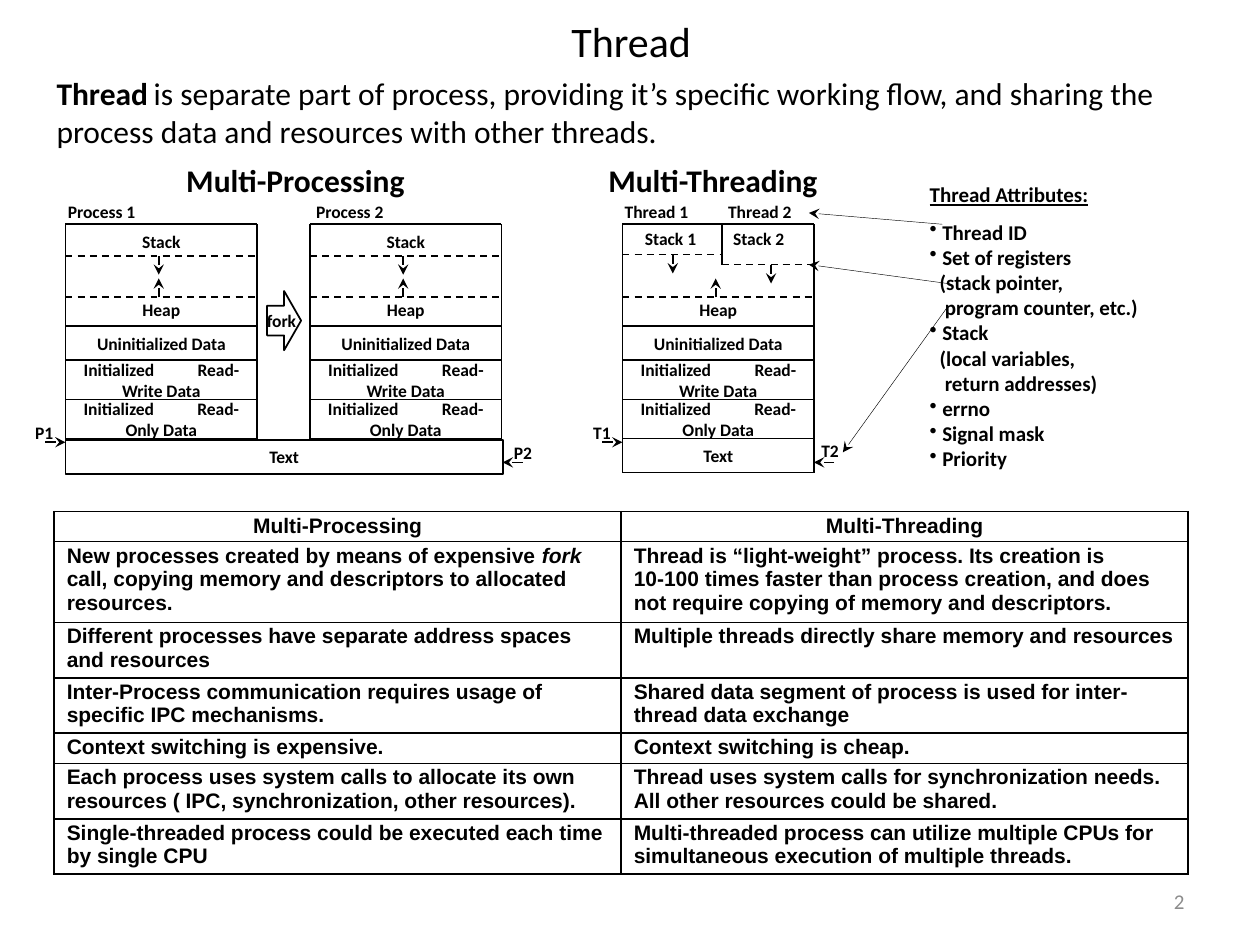
from dataclasses import dataclass
from typing import NamedTuple

from lxml.etree import SubElement
from pptx import Presentation
from pptx.dml.color import RGBColor
from pptx.enum.dml import MSO_LINE
from pptx.enum.shapes import MSO_CONNECTOR, MSO_SHAPE
from pptx.enum.text import MSO_ANCHOR, PP_ALIGN
from pptx.oxml.ns import qn
from pptx.util import Inches, Pt

HUE = {"ink": "000000", "paper": "FFFFFF", "gray": "8C8C8C"}
LEFT, MID, RIGHT = PP_ALIGN.LEFT, PP_ALIGN.CENTER, PP_ALIGN.RIGHT


@dataclass
class Run:
    """A stretch of text with its own format."""
    text: str
    bold: bool = True
    size: float = 0
    slant: bool = False
    gap: float = 0


class Band(NamedTuple):
    """One labelled part of a memory column."""
    label: str | list[Run]
    top: float
    height: float


class Tag(NamedTuple):
    """A free label above or beside a column."""
    text: str
    left: float
    top: float
    width: float
    size: int = 10


class Note(NamedTuple):
    """One line of the attribute list."""
    text: str
    dot: bool = True
    indent: float = 0.1


def wide(tail: str) -> list[Run]:
    """Give a label whose first gap is stretched."""
    return [Run("Initialized"), Run(" ", gap=22.6), Run(tail)]


COL_W, TOP, END = 1.52, 1.78, 3.75
STACK = Band("Stack", TOP, 0.27)
TEXT = Band("Text", 3.48, 0.27)
BANDS = [Band(wide("Read-Only Data"), 3.17, 0.31),
         Band(wide("Read-Write Data"), 2.86, 0.31),
         Band("Uninitialized Data", 2.59, 0.27),
         Band("Heap", 2.32, 0.27)]
RULES = [TOP, 2.59, 2.86, 3.17, 3.48, END]
ONE, TWO, THREAD = 0.52, 2.46, 4.94

TAGS = [Tag("fork", 2.02, 2.41, 0.79),
        Tag("Process 1", 0.44, 1.55, 1.02), Tag("Process 2", 2.41, 1.55, 1.02),
        Tag("P1", 0.18, 3.3, 0.39), Tag("P2", 3.98, 3.46, 0.39),
        Tag("Multi-Processing", 1.38, 1.23, 2.2, 18),
        Tag("Stack 1", 5.02, 1.76, 0.79), Tag("Stack 2", 5.72, 1.76, 0.79),
        Tag("Thread 1", 4.86, 1.55, 1.02), Tag("Thread 2", 5.68, 1.55, 1.02),
        Tag("T1", 4.61, 3.3, 0.39), Tag("T2", 6.42, 3.44, 0.39),
        Tag("Multi-Threading", 4.73, 1.23, 1.97, 18)]

NOTES = [Note("Thread ID"), Note("Set of registers"),
         Note("(stack pointer,", False, 0.08),
         Note("program counter, etc.)", False, 0.12),
         Note("Stack"), Note("(local variables,", False, 0.08),
         Note("return addresses)", False, 0.12),
         Note("errno"), Note("Signal mask"), Note("Priority")]

ROWS = [
    (0.24, "Multi-Processing", "Multi-Threading"),
    (0.64, [Run("New processes created by means of expensive "), Run("fork", slant=True),
            Run(" call, copying memory and descriptors to allocated resources.")],
     "Thread is “light-weight” process. Its creation is\n10-100 times faster than process "
     "creation, and does not require copying of memory and descriptors."),
    (0.44, "Different processes have separate address spaces and resources",
     "Multiple threads directly share memory and resources"),
    (0.44, "Inter-Process communication requires usage of specific IPC mechanisms.",
     "Shared data segment of process is used for inter-thread data exchange"),
    (0.24, "Context switching is expensive.", "Context switching is cheap."),
    (0.44, "Each process uses system calls to allocate its own resources "
     "( IPC, synchronization, other resources).",
     "Thread uses system calls for synchronization needs. "
     "All other resources could be shared."),
    (0.44, "Single-threaded process could be executed each time by single CPU",
     "Multi-threaded process can utilize multiple CPUs for simultaneous "
     "execution of multiple threads."),
]

deck = Presentation()
deck.slide_width, deck.slide_height = Inches(10), Inches(7.5)
slide = deck.slides.add_slide(deck.slide_layouts[5])
shapes = slide.shapes


def color(key: str) -> RGBColor:
    """Look up a named colour."""
    return RGBColor.from_string(HUE[key])


def write(par, text: str | list[Run], *, size: float = 10, bold: bool = True,
          face: str = "Calibri", hue: str = "ink", align=LEFT, line: bool = False) -> None:
    """Fill a paragraph with formatted text; a newline makes a line break."""
    par.alignment = align
    for part in [Run(text, bold)] if isinstance(text, str) else text:
        for i, piece in enumerate(part.text.split("\n")):
            if i:
                par.add_line_break()
            run = par.add_run()
            run.text = piece
            font = run.font
            font.name, font.size = face, Pt(part.size or size)
            font.bold, font.italic, font.underline = part.bold, part.slant, line
            font.color.rgb = color(hue)
            if part.gap:
                font._element.set("spc", str(round(part.gap * 100)))


def box(left: float, top: float, width: float, height: float,
        text: str | list[Run], anchor=MSO_ANCHOR.TOP, **form):
    """Add a wrapping text box and return its frame."""
    frame = shapes.add_textbox(*map(Inches, (left, top, width, height))).text_frame
    frame.word_wrap, frame.vertical_anchor = True, anchor
    write(frame.paragraphs[0], text, **form)
    return frame


def rule(x1: float, y1: float, x2: float, y2: float, *,
         width: float = 1, dash: bool = False, head: bool = False) -> None:
    """Draw a line, dashed or with an arrowhead at its end."""
    link = shapes.add_connector(MSO_CONNECTOR.STRAIGHT, *map(Inches, (x1, y1, x2, y2)))
    link.line.color.rgb, link.line.width = color("ink"), Pt(width)
    if dash:
        link.line.dash_style = MSO_LINE.DASH
    if head:
        SubElement(link.line._get_or_add_ln(), qn("a:tailEnd"), type="stealth")
    SubElement(link._element.spPr, qn("a:effectLst"))


def solid(kind, left: float, top: float, width: float, height: float):
    """Add a white shape with a black outline."""
    shape = shapes.add_shape(kind, *map(Inches, (left, top, width, height)))
    shape.shadow.inherit = False
    shape.fill.solid()
    shape.fill.fore_color.rgb = color("paper")
    shape.line.color.rgb, shape.line.width = color("ink"), Pt(1)
    return shape


def column(left: float, extra: Band) -> None:
    """Draw a memory column with one extra band."""
    for band in [*BANDS, extra]:
        box(left, band.top, COL_W, band.height, band.label, MSO_ANCHOR.MIDDLE, align=MID)
    for y in RULES:
        rule(left, y, left + COL_W, y)
    for x in (left, left + COL_W):
        rule(x, TOP, x, END)
    rule(left, 2.36, left + COL_W, 2.36, dash=True)
    rule(left + 0.74, 2.36, left + 0.74, 2.21, head=True)


def grid() -> None:
    """Add the table that compares both models."""
    table = shapes.add_table(len(ROWS), 2, *map(Inches, (0.43, 4.06, 9, 2.88))).table
    table.first_row = table.horz_banding = False
    for r, (height, *texts) in enumerate(ROWS):
        table.rows[r].height = Inches(height)
        for c, text in enumerate(texts):
            cell = table.cell(r, c)
            cell.margin_top = cell.margin_bottom = Inches(0.02)
            write(cell.text_frame.paragraphs[0], text, size=12, face="Arial",
                  align=LEFT if r else MID)
            props = cell._tc.get_or_add_tcPr()
            for side in "LRTB":
                edge = SubElement(props, qn(f"a:ln{side}"), w=str(Pt(1)))
                SubElement(SubElement(edge, qn("a:solidFill")), qn("a:srgbClr"), val=HUE["ink"])
            cell.fill.background()


title = shapes.title
title.left, title.top, title.width, title.height = map(Inches, (0.51, 0.05, 9, 0.55))
title.text_frame.vertical_anchor = MSO_ANCHOR.MIDDLE
write(title.text_frame.paragraphs[0], "Thread", size=24, bold=False, align=MID)
box(0.35, 0.54, 8.98, 0.71, [
    Run("Thread"), Run(" ", False, 14),
    Run("is separate part of process, providing it’s specific working flow, and sharing "
        "the process data and resources with other threads.", False)], size=18)

for left in (ONE, TWO):
    column(left, STACK)
    rule(left, 2.03, left + COL_W, 2.03, dash=True)
    rule(left + 0.74, 2.03, left + 0.74, 2.18, head=True)
shared = solid(MSO_SHAPE.RECTANGLE, ONE, 3.49, 3.47, 0.27)
write(shared.text_frame.paragraphs[0], "Text", align=MID)
solid(MSO_SHAPE.RIGHT_ARROW, 2.12, 2.31, 0.27, 0.47)

column(THREAD, TEXT)
rule(5.73, TOP, 5.73, 2.1)
for x1, x2, mid, y in ((THREAD, 5.73, 5.34, 2.02), (5.73, 6.44, 6.12, 2.1)):
    rule(x1, y, x2, y, dash=True)
    rule(mid, y, mid, y + 0.15, head=True)
for left, right in ((ONE, 3.99), (THREAD, 6.46)):
    rule(left - 0.16, 3.51, left, 3.51, head=True)
    rule(right + 0.16, 3.67, right, 3.67, head=True)
for tag in TAGS:
    box(tag.left, tag.top, tag.width, 0.4 if tag.size > 10 else 0.27, tag.text, size=tag.size)

frame = box(7.28, 1.39, 2.28, 2.42, "Thread Attributes:", size=12, line=True)
for i, note in enumerate(NOTES):
    par = frame.add_paragraph()
    write(par, note.text, size=12)
    if i == 0:
        par.line_spacing = 1.5
    props = par._p.get_or_add_pPr()
    props.set("marL", str(Inches(note.indent)))
    if note.dot:
        props.set("indent", str(-Inches(note.indent)))
        SubElement(props, qn("a:buChar"), char="•")

grid()
for ends in ((7.48, 1.78, 6.42, 1.69), (7.52, 2.25, 6.42, 2.1), (7.51, 2.45, 6.69, 3.59)):
    rule(*ends, width=0.25, head=True)
box(7.17, 6.95, 2.33, 0.4, "2", MSO_ANCHOR.MIDDLE, size=12, bold=False, hue="gray", align=RIGHT)
deck.save("out.pptx")
